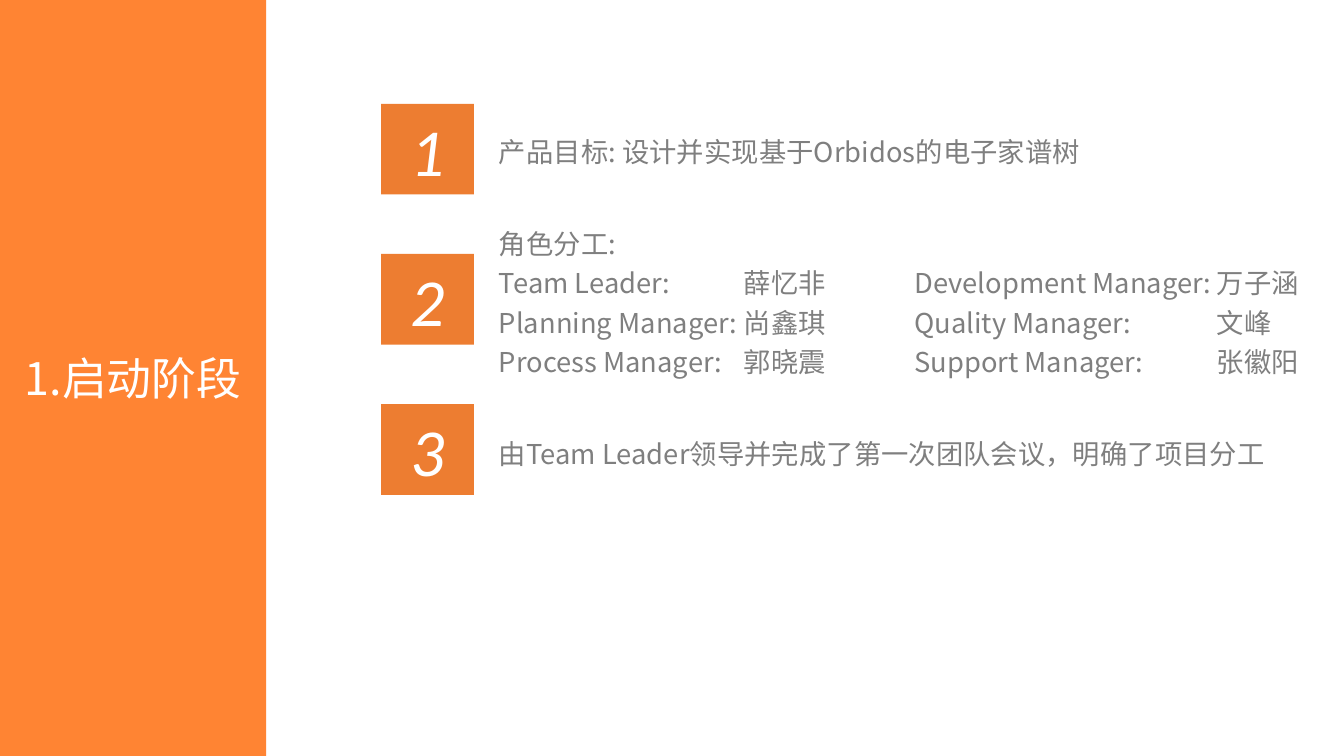
"""Build the project start-up slide with three numbered points."""
from lxml import etree
from pptx import Presentation
from pptx.dml.color import RGBColor
from pptx.enum.shapes import MSO_SHAPE
from pptx.enum.text import MSO_ANCHOR, MSO_AUTO_SIZE, PP_ALIGN
from pptx.oxml.ns import qn
from pptx.util import Inches, Pt

RECTANGLE = MSO_SHAPE.RECTANGLE
MIDDLE, TOP = MSO_ANCHOR.MIDDLE, MSO_ANCHOR.TOP
CENTER, LEFT = PP_ALIGN.CENTER, PP_ALIGN.LEFT
NO_AUTOFIT = MSO_AUTO_SIZE.NONE
CHINESE_FONT = "Noto Sans CJK SC"
TAB_STOPS = [2.43, 4.12, 7.12]
POINTS = [
    (1.23, 0.49, ["产品目标: 设计并实现基于Orbidos的电子家谱树"]),
    (2.14, 1.66, [
        "角色分工:",
        "Team Leader:\t薛忆非\tDevelopment Manager:\t万子涵",
        "Planning Manager:\t尚鑫琪\tQuality Manager:\t文峰",
        "Process Manager:\t郭晓震\tSupport Manager:\t张徽阳",
    ]),
    (4.22, 0.49, ["由Team Leader领导并完成了第一次团队会议，明确了项目分工"]),
]


def set_fill(shape, color):
    shape.fill.solid()
    shape.fill.fore_color.rgb = RGBColor.from_string(color)
    shape.line.fill.background()


def write_text(shape, lines, size, color="FFFFFF", font=CHINESE_FONT, italic=False,
               align=CENTER, anchor=MIDDLE, spacing=1.0, tab_stops=()):
    frame = shape.text_frame
    frame.word_wrap = True
    frame.auto_size = NO_AUTOFIT
    frame.vertical_anchor = anchor
    for index, line in enumerate(lines):
        paragraph = frame.paragraphs[0] if index == 0 else frame.add_paragraph()
        paragraph.alignment = align
        paragraph.line_spacing = spacing
        if "\t" in line:
            tab_list = etree.SubElement(paragraph._p.get_or_add_pPr(), qn("a:tabLst"))
            for stop in tab_stops:
                etree.SubElement(tab_list, qn("a:tab"), pos=str(Inches(stop)), algn="l")
        run = paragraph.add_run()
        run.text = line
        run.font.size = Pt(size)
        run.font.italic = italic
        run.font.name = font
        run.font.color.rgb = RGBColor.from_string(color)
        etree.SubElement(run._r.get_or_add_rPr(), qn("a:ea"), typeface=font)


presentation = Presentation()
presentation.slide_width = Inches(13.33)
presentation.slide_height = Inches(7.5)
slide = presentation.slides.add_slide(presentation.slide_layouts[5])

title = slide.shapes.title
title.left, title.top = Inches(0), Inches(0)
title.width, title.height = Inches(2.64), Inches(7.5)
set_fill(title, "FF6600")
panel_color = title.fill._xPr.find(qn("a:solidFill"))[0]
etree.SubElement(panel_color, qn("a:alpha"), val="80000")
write_text(title, ["1.启动阶段"], 32)

for index, (top, height, lines) in enumerate(POINTS):
    badge = slide.shapes.add_shape(
        RECTANGLE, Inches(3.78), Inches(1.03 + 1.49 * index), Inches(0.92), Inches(0.9))
    badge.shadow.inherit = False
    set_fill(badge, "ED7D31")
    write_text(badge, [str(index + 1)], 48, font="Calibri", italic=True)

    description = slide.shapes.add_textbox(
        Inches(4.85), Inches(top), Inches(8.35), Inches(height))
    write_text(description, lines, 19.5, color="7F7F7F", align=LEFT, anchor=TOP,
               spacing=1.2, tab_stops=TAB_STOPS)

presentation.save("out.pptx")
